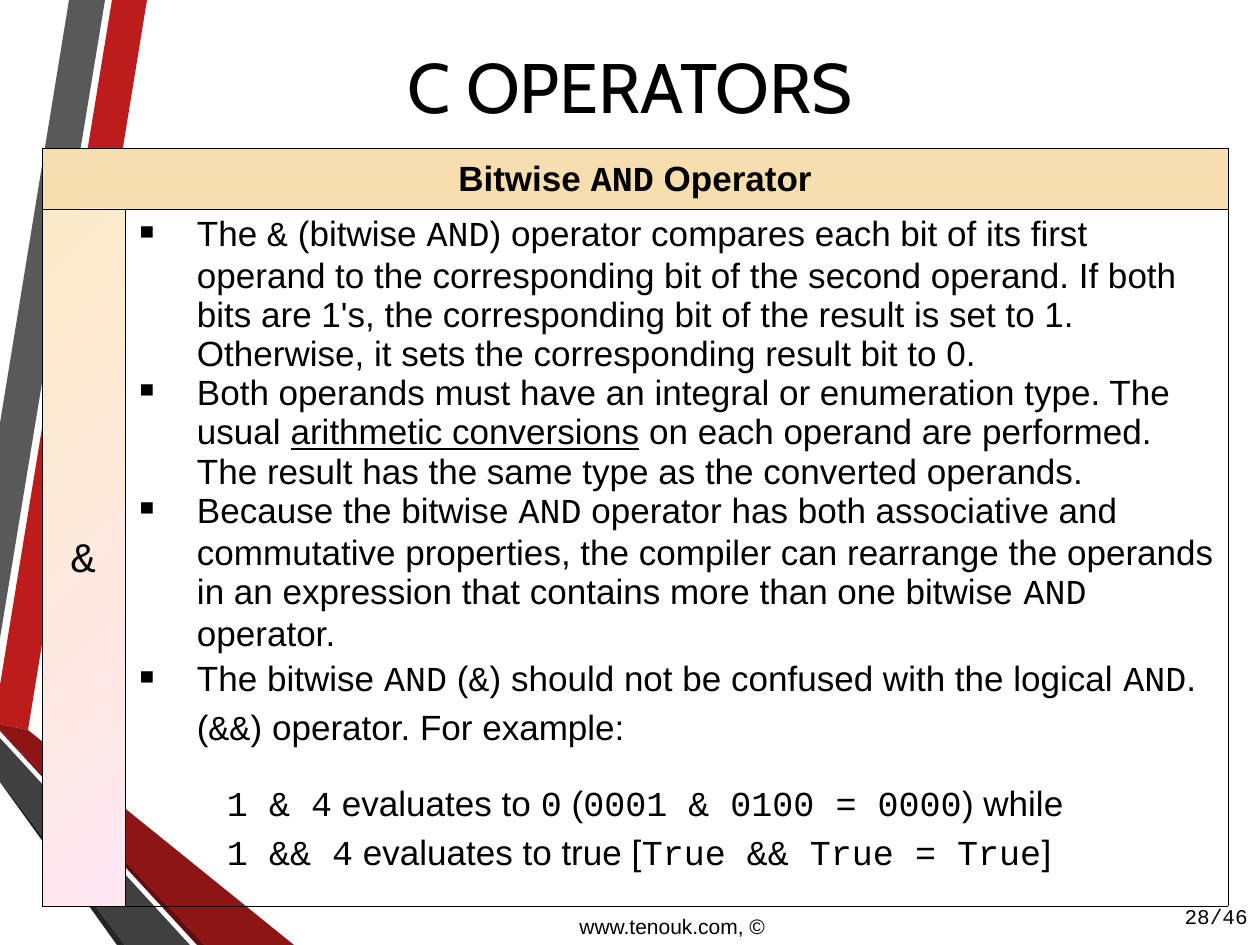
from lxml import etree
from pptx import Presentation, util as u
from pptx.dml.color import RGBColor
from pptx.enum import text
from pptx.oxml import ns

PX = 914400 / 126
BLACK = RGBColor(0x00, 0x00, 0x00)
RED = RGBColor(0xBC, 0x1C, 0x1C)
DEEP_RED = RGBColor(0x8D, 0x15, 0x15)
RED_EDGE = RGBColor(0x5E, 0x0E, 0x0E)
GREY = RGBColor(0x59, 0x59, 0x59)
DARK_GREY = RGBColor(0x40, 0x40, 0x40)
GREY_EDGE = RGBColor(0x26, 0x26, 0x26)
SAND = RGBColor(0xF7, 0xDE, 0xAE)
CREAM = RGBColor(0xFB, 0xEA, 0xC7)
PINK = RGBColor(0xFE, 0xE7, 0xF2)

SANS, MONO = "Arial", "Courier New"
CENTER, RIGHT = text.PP_ALIGN.CENTER, text.PP_ALIGN.RIGHT
MIDDLE = text.MSO_ANCHOR.MIDDLE

RIBBONS = [
    (RED, [(0, 685), (0, 724), (28, 730), (147, 0), (112, 0)]),
    (GREY, [(105, 0), (69, 0), (0, 423), (0, 638)]),
    (GREY_EDGE, [(0, 780), (0, 782), (117, 945), (125, 945)]),
    (RED_EDGE, [(0, 730), (0, 731), (197, 945), (205, 945)]),
    (DEEP_RED, [(0, 730), (205, 945), (294, 945), (28, 730), (0, 724)]),
    (DARK_GREY, [(0, 780), (125, 945), (190, 945), (0, 738)]),
]

# Backticks mark code, underscores mark underlined words
RULES = [
    ("The `&` (bitwise `AND`) operator compares each bit of its first operand to "
     "the corresponding bit of the second operand. If both bits are 1's, the "
     "corresponding bit of the result is set to 1. Otherwise, it sets the "
     "corresponding result bit to 0.", 1.0),
    ("Both operands must have an integral or enumeration type. The usual "
     "_arithmetic conversions_ on each operand are performed. The result has the "
     "same type as the converted operands.", 1.0),
    ("Because the bitwise `AND` operator has both associative and commutative "
     "properties, the compiler can rearrange the operands in an expression that "
     "contains more than one bitwise `AND` operator.", 1.0),
    ("The bitwise `AND` (`&`) should not be confused with the logical `AND`. "
     "(`&&`) operator. For example:", 1.15),
]
EXAMPLES = [
    ("`1 & 4` evaluates to `0` (`0001 & 0100 = 0000`) while", 16),
    ("`1 && 4` evaluates to true [`True && True = True`]", 0),
]


def px(length):
    return u.Emu(round(length * PX))


def add_ribbon(page, color, points):
    builder = page.shapes.build_freeform(*points[0], scale=PX)
    builder.add_line_segments(points[1:], close=True)
    ribbon = builder.convert_to_shape()
    ribbon.shadow.inherit = False
    ribbon.fill.solid()
    ribbon.fill.fore_color.rgb = color
    ribbon.line.fill.background()


def indent(para, left, hanging=0, bullet=None):
    props = para._p.get_or_add_pPr()
    props.set("marL", str(px(left)))
    props.set("indent", str(-px(hanging)))
    if bullet:
        color = etree.SubElement(props, ns.qn("a:buClr"))
        etree.SubElement(color, ns.qn("a:srgbClr"), val=str(BLACK))
        etree.SubElement(props, ns.qn("a:buChar"), char=bullet)


def write(para, words, size=20, font=SANS, bold=False, align=None, spacing=1.0, before=0):
    para.alignment = align
    para.line_spacing = spacing
    para.space_before = u.Pt(before)
    for i, part in enumerate(words.split("`")):
        for j, piece in enumerate(part.split("_")):
            if not piece:
                continue
            span = para.add_run()
            span.text = piece
            span.font.name = MONO if i % 2 else font
            span.font.size = u.Pt(size)
            span.font.bold = bold
            span.font.underline = j % 2 == 1
            span.font.color.rgb = BLACK


def add_label(page, words, left, top, width, height, anchor=None, **style):
    box = page.shapes.add_textbox(px(left), px(top), px(width), px(height))
    box.text_frame.word_wrap = True
    box.text_frame.vertical_anchor = anchor
    write(box.text_frame.paragraphs[0], words, **style)


def add_title(page, words):
    title = page.shapes.title
    title.left, title.top, title.width, title.height = px(63), px(32), px(1134), px(106)
    title.text_frame.vertical_anchor = MIDDLE
    write(title.text_frame.paragraphs[0], words, size=40, font="Cabin", align=CENTER)


def set_borders(cell):
    props = cell._tc.get_or_add_tcPr()
    for i, side in enumerate(("lnL", "lnR", "lnT", "lnB")):
        line = etree.Element(ns.qn(f"a:{side}"), w=str(u.Pt(0.45)))
        fill = etree.SubElement(line, ns.qn("a:solidFill"))
        etree.SubElement(fill, ns.qn("a:srgbClr"), val=str(BLACK))
        props.insert(i, line)


def add_operator_table(page):
    table = page.shapes.add_table(2, 2, px(42), px(148), px(1186), px(758)).table
    table.first_row = table.horz_banding = False
    for column, width in zip(table.columns, (83, 1103)):
        column.width = px(width)
    for row, height in zip(table.rows, (61, 697)):
        row.height = px(height)
    for cell in table.iter_cells():
        cell.margin_left = cell.margin_right = px(9)
        cell.margin_top = cell.margin_bottom = px(6)
        cell.fill.background()

    # Heading across both columns
    heading, symbol, rules = table.cell(0, 0), table.cell(1, 0), table.cell(1, 1)
    heading.merge(table.cell(0, 1))
    heading.fill.solid()
    heading.fill.fore_color.rgb = SAND
    write(heading.text_frame.paragraphs[0], "Bitwise `AND` Operator",
          bold=True, align=CENTER, spacing=1.15)

    # Operator symbol on a gradient
    symbol.fill.gradient()
    symbol.fill.gradient_angle = 315
    for stop, color in zip(symbol.fill.gradient_stops, (CREAM, PINK)):
        stop.color.rgb = color
    symbol.vertical_anchor = MIDDLE
    write(symbol.text_frame.paragraphs[0], "&", size=24, font=MONO,
          align=CENTER, spacing=1.15)

    # Bulleted rules, then indented examples
    frame = rules.text_frame
    for i, (words, spacing) in enumerate(RULES):
        para = frame.add_paragraph() if i else frame.paragraphs[0]
        indent(para, 63, hanging=63, bullet="▪")
        write(para, words, spacing=spacing)
    for words, before in EXAMPLES:
        para = frame.add_paragraph()
        indent(para, 93)
        write(para, words, spacing=1.15, before=before)

    for cell in table.iter_cells():
        set_borders(cell)


def main():
    deck = Presentation()
    deck.slide_width, deck.slide_height = px(1260), px(945)
    page = deck.slides.add_slide(deck.slide_layouts[5])
    for color, points in RIBBONS:
        add_ribbon(page, color, points)
    add_operator_table(page)
    add_title(page, "C OPERATORS")
    # Footer
    add_label(page, "28/46", 1155, 891, 105, 50, anchor=MIDDLE,
              size=12, font=MONO, align=RIGHT)
    add_label(page, "www.tenouk.com, ©", 567, 907, 221, 38, size=12)
    deck.save("out.pptx")


if __name__ == "__main__":
    main()
